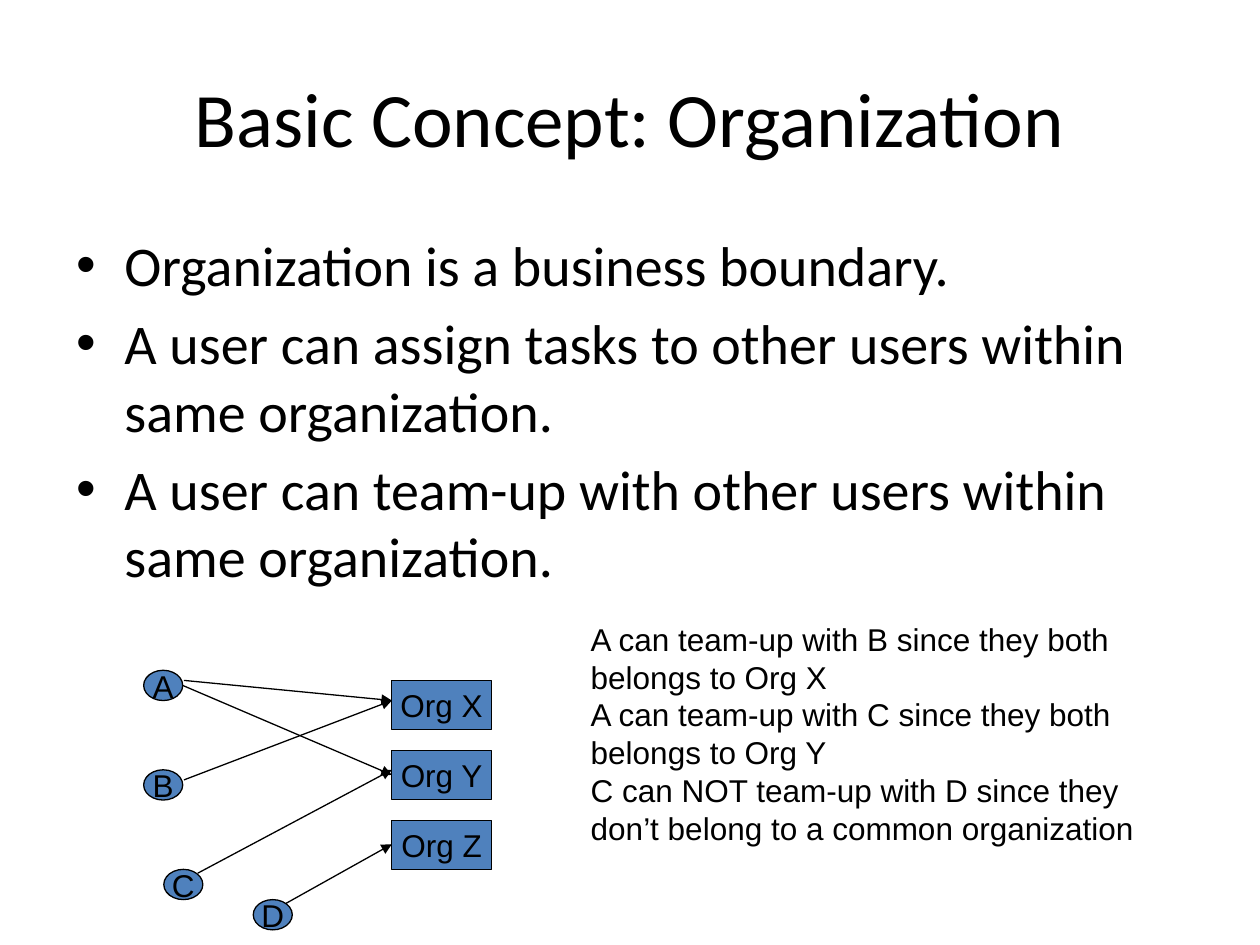
from lxml import etree
from pptx import Presentation
from pptx.dml.color import RGBColor
from pptx.enum.shapes import MSO_CONNECTOR as LINE, MSO_SHAPE as SHAPE
from pptx.enum.text import MSO_ANCHOR as ANCHOR, PP_ALIGN as ALIGN
from pptx.oxml.ns import qn
from pptx.util import Inches, Pt

COLORS = {"ink": "000000", "node": "4F81BD"}

prs = Presentation()
prs.slide_width, prs.slide_height = Inches(10), Inches(7.5)
s = prs.slides.add_slide(prs.slide_layouts[6])


def write(sp, lines, size, font, align=ALIGN.LEFT, **frame):
    """Put one paragraph per line in a shape and return its paragraphs."""
    tf = sp.text_frame
    for name, value in frame.items():
        setattr(tf, name, value)
    tf.text = "\n".join(lines)
    for p in tf.paragraphs:
        p.alignment = align
        r = p.runs[0]
        for name, value in {"size": Pt(size), "name": font}.items():
            setattr(r.font, name, value)
        r.font.color.rgb = RGBColor.from_string(COLORS["ink"])
    return tf.paragraphs


def add_node(kind, x, y, w, h, label):
    """Draw an outlined node with a centred label."""
    sp = s.shapes.add_shape(kind, Inches(x), Inches(y), Inches(w), Inches(h))
    sp.shadow.inherit = False
    sp.fill.solid()
    sp.fill.fore_color.rgb = RGBColor.from_string(COLORS["node"])
    sp.line.color.rgb = RGBColor.from_string(COLORS["ink"])
    sp.line.width = Pt(0.75)
    write(sp, [label], 18, "Arial", ALIGN.CENTER,
          word_wrap=False, vertical_anchor=ANCHOR.MIDDLE)


# Title
title = s.shapes.add_textbox(Inches(0.5), Inches(0.3), Inches(9), Inches(1.25))
write(title, ["Basic Concept: Organization"], 44, "Calibri", ALIGN.CENTER,
      word_wrap=True, vertical_anchor=ANCHOR.MIDDLE)

# Bulleted rules
body = s.shapes.add_textbox(Inches(0.51), Inches(1.78), Inches(9), Inches(4.95))
rules = [
    "Organization is a business boundary.",
    "A user can assign tasks to other users within same organization.",
    "A user can team-up with other users within same organization.",
]
for p in write(body, rules, 32, "Calibri", word_wrap=True):
    p.space_before = Pt(6.4)
    pPr = p._p.get_or_add_pPr()
    pPr.set("marL", str(Inches(0.38)))
    pPr.set("indent", str(-Inches(0.38)))
    etree.SubElement(pPr, qn("a:buFont")).set("typeface", "Arial")
    etree.SubElement(pPr, qn("a:buChar")).set("char", "•")

# Users and organizations
users = {"A": (1.14, 5.32), "B": (1.14, 6.11), "C": (1.3, 6.9), "D": (2.01, 7.14)}
for user, (x, y) in users.items():
    add_node(SHAPE.OVAL, x, y, 0.31, 0.24, user)
for i, org in enumerate("XYZ"):
    add_node(SHAPE.RECTANGLE, 3.11, 5.4 + 0.555 * i, 0.79, 0.39, f"Org {org}")

# Memberships: start x, start y, end y at the left edge of the organizations
memberships = [
    (1.46, 5.4, 5.56),
    (1.46, 6.19, 5.56),
    (1.45, 5.44, 6.15),
    (1.57, 6.93, 6.11),
    (2.27, 7.17, 6.7),
]
for x, y, end_y in memberships:
    arrow = s.shapes.add_connector(
        LINE.STRAIGHT, Inches(x), Inches(y), Inches(3.11), Inches(end_y))
    arrow.line.color.rgb = RGBColor.from_string(COLORS["ink"])
    arrow.line.width = Pt(0.75)
    etree.SubElement(arrow.line._get_or_add_ln(), qn("a:tailEnd")).set("type", "triangle")
    etree.SubElement(arrow._element.spPr, qn("a:effectLst"))

# Explanation
notes = s.shapes.add_textbox(Inches(4.59), Inches(4.87), Inches(4.9), Inches(1.9))
write(notes, [
    "A can team-up with B since they both belongs to Org X",
    "A can team-up with C since they both belongs to Org Y",
    "C can NOT team-up with D since they don’t belong to a common organization",
], 18, "Arial", word_wrap=True)

prs.save("out.pptx")
